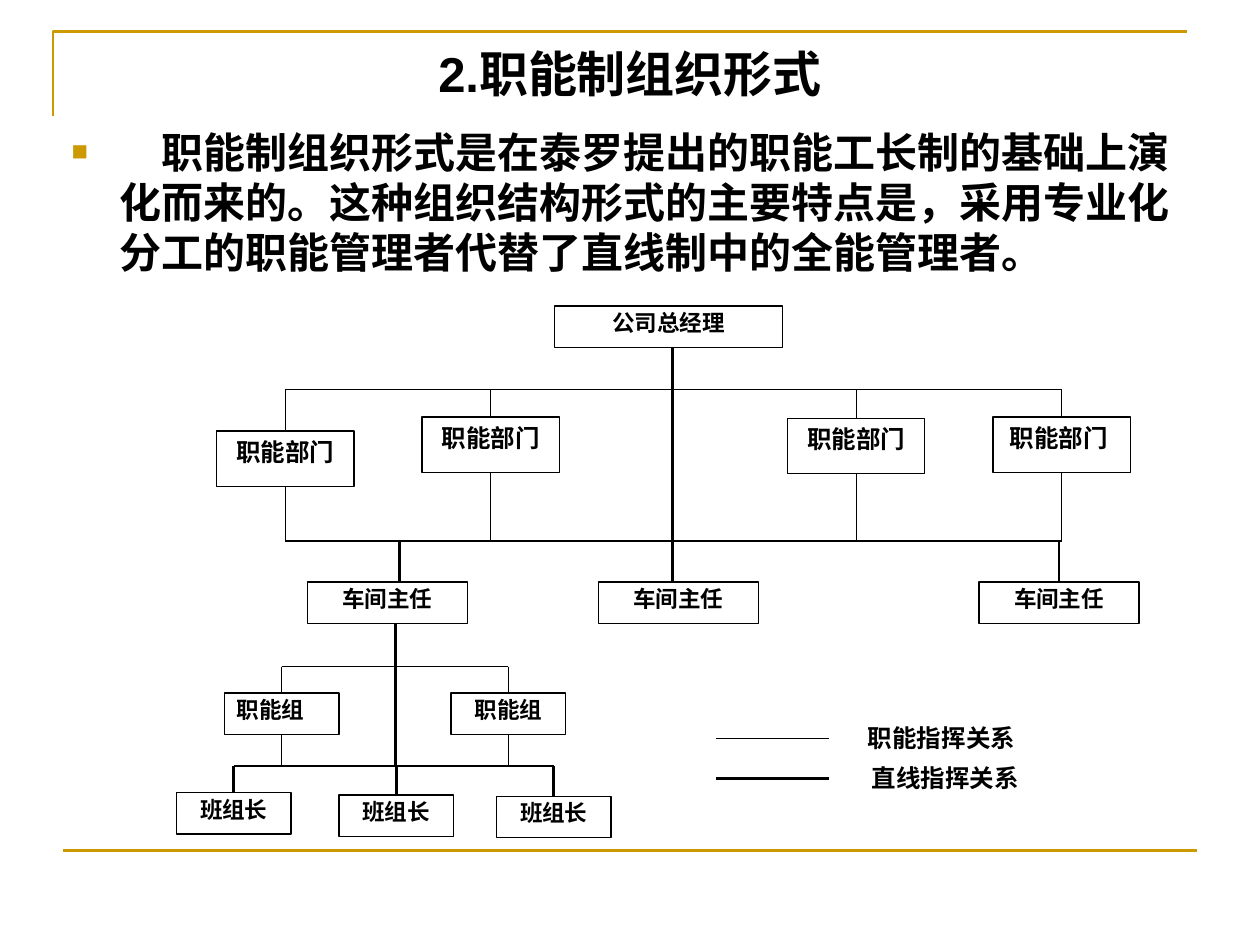
from dataclasses import dataclass

from lxml.etree import SubElement
from pptx import Presentation
from pptx.dml.color import RGBColor
from pptx.enum.lang import MSO_LANGUAGE_ID as Lang
from pptx.enum.shapes import MSO_CONNECTOR as Connector, MSO_SHAPE as Shape
from pptx.enum.text import MSO_ANCHOR as Anchor, PP_ALIGN as Align
from pptx.oxml.ns import qn
from pptx.util import Inches, Pt

BLACK = RGBColor(0x00, 0x00, 0x00)
WHITE = RGBColor(0xFF, 0xFF, 0xFF)
GOLD = RGBColor(0xCC, 0x99, 0x00)

WIDTH, HEIGHT = Inches(10), Inches(7.5)
COLUMNS, ROWS = 100, 75
THIN, THICK = 0.75, 1.5
TOP, BOTTOM = 0, 2

# Rows of the horizontal lines that the boxes hang from
DEPARTMENT_ROW, COMMAND_ROW = 30.9, 42.95
GROUP_ROW, TEAM_ROW = 52.9, 60.8
MANAGER_COL, DIRECTOR_COL = 53.4, 31.4


@dataclass(frozen=True)
class Node:
    label: str
    col: float
    row: float
    width: float
    height: float = 3.3
    size: float = 12.9
    spacing: float = 0.9
    align: Align = Align.CENTER

    @property
    def middle(self) -> float:
        return self.col + self.width / 2


def x(col: float) -> int:
    return round(WIDTH * col / COLUMNS)


def y(row: float) -> int:
    return round(HEIGHT * row / ROWS)


def write(holder, text: str, *, size: float, font: str = "Arial", align=Align.LEFT,
          spacing: float = 1.0, wrap: bool = True, insets=(0.1, 0.05, 0.1, 0.05),
          bullet: bool = False) -> None:
    frame = holder.text_frame
    frame.word_wrap = wrap
    frame.vertical_anchor = Anchor.TOP
    (frame.margin_left, frame.margin_top,
     frame.margin_right, frame.margin_bottom) = map(Inches, insets)
    paragraph = frame.paragraphs[0]
    if bullet:
        add_bullet(paragraph)
    paragraph.alignment = align
    paragraph.line_spacing = spacing
    run = paragraph.add_run()
    run.text = text
    run.font.name = font
    run.font.size = Pt(size)
    run.font.bold = True
    run.font.color.rgb = BLACK
    run.font.language_id = Lang.SIMPLIFIED_CHINESE


def add_bullet(paragraph) -> None:
    """Give the paragraph a hanging indent and a small gold square."""
    properties = paragraph._p.get_or_add_pPr()
    indent = Inches(0.38)
    properties.set("marL", str(indent))
    properties.set("indent", str(-indent))
    colour = SubElement(properties, qn("a:buClr"))
    SubElement(colour, qn("a:srgbClr"), val=str(GOLD))
    SubElement(properties, qn("a:buSzPct"), val="65000")
    SubElement(properties, qn("a:buFont"), typeface="Arial")
    SubElement(properties, qn("a:buChar"), char="■")


def text_box(slide, text: str, col: float, row: float, width: float,
             height: float, **style) -> None:
    write(slide.shapes.add_textbox(x(col), y(row), x(width), y(height)), text, **style)


def line(slide, start: tuple[float, float], end: tuple[float, float],
         weight: float = THIN, colour: RGBColor = BLACK):
    connector = slide.shapes.add_connector(
        Connector.STRAIGHT, x(start[0]), y(start[1]), x(end[0]), y(end[1]))
    connector.line.color.rgb = colour
    connector.line.width = Pt(weight)
    SubElement(connector._element.spPr, qn("a:effectLst"))
    return connector


def box(slide, node: Node):
    shape = slide.shapes.add_shape(
        Shape.RECTANGLE, x(node.col), y(node.row), x(node.width), y(node.height))
    shape.shadow.inherit = False
    shape.fill.solid()
    shape.fill.fore_color.rgb = WHITE
    shape.line.color.rgb = BLACK
    shape.line.width = Pt(THIN)
    write(shape, node.label, size=node.size, font="Times New Roman",
          align=node.align, spacing=node.spacing)
    return shape


def hang(slide, node: Node, above: float, below: float | None = None,
         weight: float = THIN) -> None:
    """Draw a box joined to the line above it and, if given, the one below."""
    shape = box(slide, node)
    upper = line(slide, (node.middle, above), (node.middle, node.row), weight)
    upper.end_connect(shape, TOP)
    if below is not None:
        lower = line(slide, (node.middle, node.row + node.height),
                     (node.middle, below), weight)
        lower.begin_connect(shape, BOTTOM)


def department(label: str, col: float, row: float) -> Node:
    return Node(label, col, row, 10.9, height=4.4, size=14, spacing=1.0)


def director(col: float) -> Node:
    return Node("车间主任", col, 46.2, 12.7)


MANAGER = Node("公司总经理", 44, 24.3, 18.1)
DEPARTMENTS = [
    department("职能部门", 17.2, 34.2),
    department("职能部门", 33.5, 33.1),
    department("职能部门", 62.5, 33.2),
    department("职能部门 ", 78.8, 33.1),
]
LEFT_DIRECTOR, MIDDLE_DIRECTOR, RIGHT_DIRECTOR = map(director, (24.4, 47.5, 77.7))
GROUPS = [Node("职能组", 17.8, 55, 9.1, align=Align.JUSTIFY),
          Node("职能组", 35.8, 55, 9.1)]
TEAMS = [Node("班组长", col, row, 9.1)
         for col, row in ((14, 62.9), (26.9, 63.1), (39.4, 63.2))]


def draw_frame(slide) -> None:
    outline = slide.shapes.build_freeform(x(4.2), y(9.2))
    outline.add_line_segments([(x(4.2), y(2.5)), (x(94.2), y(2.5))], close=False)
    corner = outline.convert_to_shape()
    corner.shadow.inherit = False
    corner.fill.background()
    corner.line.color.rgb = GOLD
    corner.line.width = Pt(THICK)
    line(slide, (5, 67.5), (95, 67.5), THICK, GOLD)


def draw_chart(slide) -> None:
    first, last = DEPARTMENTS[0].middle, DEPARTMENTS[-1].middle
    box(slide, MANAGER)
    line(slide, (first, DEPARTMENT_ROW), (last, DEPARTMENT_ROW))
    line(slide, (MANAGER_COL, MANAGER.row + MANAGER.height),
         (MANAGER_COL, MIDDLE_DIRECTOR.row), THICK)
    for node in DEPARTMENTS:
        hang(slide, node, DEPARTMENT_ROW, COMMAND_ROW)

    line(slide, (first, COMMAND_ROW), (last, COMMAND_ROW), THICK)
    box(slide, LEFT_DIRECTOR)
    box(slide, MIDDLE_DIRECTOR)
    line(slide, (31.7, COMMAND_ROW), (31.7, LEFT_DIRECTOR.row), THICK)
    hang(slide, RIGHT_DIRECTOR, COMMAND_ROW, weight=THICK)

    line(slide, (DIRECTOR_COL, LEFT_DIRECTOR.row + LEFT_DIRECTOR.height),
         (DIRECTOR_COL, TEAM_ROW), THICK)
    line(slide, (GROUPS[0].middle, GROUP_ROW), (GROUPS[1].middle, GROUP_ROW))
    for node in GROUPS:
        hang(slide, node, GROUP_ROW, TEAM_ROW)

    line(slide, (TEAMS[0].middle, TEAM_ROW), (TEAMS[-1].middle, TEAM_ROW), THICK)
    for node in TEAMS:
        hang(slide, node, TEAM_ROW, weight=THICK)


def draw_legend(slide) -> None:
    for label, col, row, weight in (("职能指挥关系", 67.9, 58.6, THIN),
                                    ("直线指挥关系", 68.2, 61.8, THICK)):
        line(slide, (56.8, row), (65.8, row), weight)
        text_box(slide, label, col, row - 1.7, 13.7, 3.4, size=14, wrap=False)


def main() -> None:
    deck = Presentation()
    deck.slide_width, deck.slide_height = WIDTH, HEIGHT
    slide = deck.slides.add_slide(deck.slide_layouts[6])
    draw_frame(slide)
    text_box(slide, "2.职能制组织形式", 5, 3, 90, 7.7, size=28, align=Align.CENTER)
    text_box(slide, "　职能制组织形式是在泰罗提出的职能工长制的基础上演化而来的。"
             "这种组织结构形式的主要特点是，采用专业化分工的职能管理者代替了直线制中的全能管理者。",
             5.1, 9.9, 90, 14.2, size=24, insets=(0.06, 0.01, 0.02, 0.01), bullet=True)
    draw_chart(slide)
    draw_legend(slide)
    deck.save("out.pptx")


if __name__ == "__main__":
    main()
